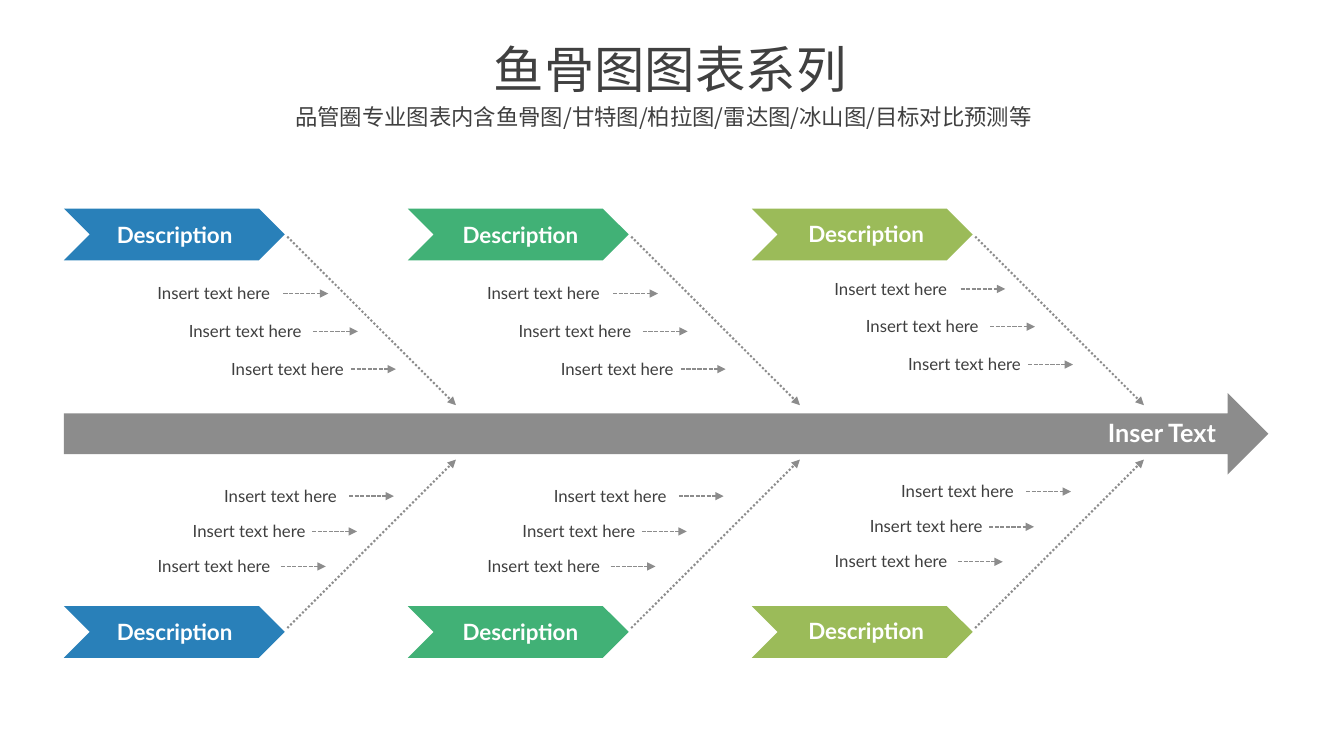
from lxml import etree
from pptx import Presentation
from pptx import util as u
from pptx.dml.color import RGBColor
from pptx.enum import dml, shapes, text
from pptx.oxml.ns import qn

COLORS = {
    "blue": "2980B9", "green": "41B176", "olive": "9BBB59",
    "gray": "8C8C8C", "white": "FFFFFF", "note": "3F3F3F", "title": "404040",
}
LATO, CJK = "Lato", "Noto Sans CJK SC"
ALIGN = text.PP_ALIGN
STYLES = {
    "title": dict(size=36, name=CJK, color="title", align=ALIGN.LEFT),
    "subtitle": dict(size=16, name=CJK, color="title", align=ALIGN.LEFT, wrap=True),
    "spine": dict(size=18, name=LATO, color="white", align=ALIGN.RIGHT, bold=True),
    "category": dict(size=16, name=LATO, color="white", align=ALIGN.CENTER, bold=True),
    "cause": dict(size=12, name=LATO, color="note", align=ALIGN.RIGHT),
}


class Diagram:
    def __init__(self, slide, colors, styles):
        self.slide, self.colors, self.styles = slide, colors, styles

    def color(self, name):
        return RGBColor.from_string(self.colors[name])

    def block(self, kind, box, fill):
        shape = self.slide.shapes.add_shape(kind, *map(u.Pt, box))
        shape.shadow.inherit = False
        shape.fill.solid()
        shape.fill.fore_color.rgb = self.color(fill)
        shape.line.fill.background()

    def label(self, words, box, style):
        values = self.styles[style]
        frame = self.slide.shapes.add_textbox(*map(u.Pt, box)).text_frame
        frame.word_wrap = values.get("wrap", False)
        frame.auto_size = text.MSO_AUTO_SIZE.SHAPE_TO_FIT_TEXT
        paragraph = frame.paragraphs[0]
        paragraph.alignment = values["align"]
        run = paragraph.add_run()
        run.text = words
        font = {"size": u.Pt(values["size"]), "name": values["name"],
                "bold": values.get("bold", False)}
        for key, value in font.items():
            setattr(run.font, key, value)
        run.font.color.rgb = self.color(values["color"])
        east_asian = etree.SubElement(run.font._element, qn("a:ea"))
        east_asian.set("typeface", values["name"])

    def arrow(self, start, end, width, dash):
        connector = self.slide.shapes.add_connector(
            shapes.MSO_CONNECTOR.STRAIGHT, *map(u.Pt, (*start, *end)))
        line = connector.line
        line.color.rgb = self.color("gray")
        line.width = u.Pt(width)
        line.dash_style = dash
        etree.SubElement(line._ln, qn("a:tailEnd")).set("type", "triangle")
        etree.SubElement(connector._element.spPr, qn("a:effectLst"))


def main():
    presentation = Presentation()
    presentation.slide_width, presentation.slide_height = u.Pt(960), u.Pt(540)
    slide = presentation.slides.add_slide(presentation.slide_layouts[6])
    diagram = Diagram(slide, COLORS, STYLES)

    diagram.block(shapes.MSO_SHAPE.RIGHT_ARROW, (45.6, 280.8, 860.4, 58.2), "gray")
    diagram.label("Inser Text", (783.4, 294.5, 92.2, 29), "spine")

    column_step, label_step = 245.7, 247
    branches = [
        dict(chevron=149, label=154.1, rib=(169, 289.4)),
        dict(chevron=432.9, label=438.3, rib=(448.6, 328.3)),
    ]
    causes = [
        (105.1, 198.5, 202.5), (127.6, 225.5, 223.7), (157.8, 252.5, 250.8),
        (152.8, 343.2, 249.4), (130.4, 368.4, 223), (105.3, 393.4, 200.7),
    ]
    columns = [("blue", 0, 0, 0), ("green", 235.5, 0, 0), ("olive", 483.6, -3.3, -0.7)]

    for index, (fill, shift, rise, label_rise) in enumerate(columns):
        left = index * column_step
        for branch in branches:
            diagram.block(shapes.MSO_SHAPE.CHEVRON,
                          (left + 45.6, branch["chevron"], 157.8, 37), fill)
            outer, inner = branch["rib"]
            diagram.arrow((left + 205.2, outer), (left + 325.7, inner), 1.5,
                          dml.MSO_LINE.ROUND_DOT)
            diagram.label("Description", (index * label_step + 74.2,
                          branch["label"] + label_rise, 101, 26.6), "category")
        for text_left, top, arrow_left in causes:
            diagram.label("Insert text here",
                          (text_left + shift, top + rise, 95, 21.8), "cause")
            tip, level = arrow_left + shift, top + rise + 11.2
            diagram.arrow((tip, level), (tip + 32, level), 1, dml.MSO_LINE.SQUARE_DOT)

    diagram.label("鱼骨图图表系列", (345.6, 23.8, 269.3, 51), "title")
    diagram.label("品管圈专业图表内含鱼骨图/甘特图/柏拉图/雷达图/冰山图/目标对比预测等",
                  (203.8, 69.8, 550, 26.6), "subtitle")
    presentation.save("out.pptx")


if __name__ == "__main__":
    main()
